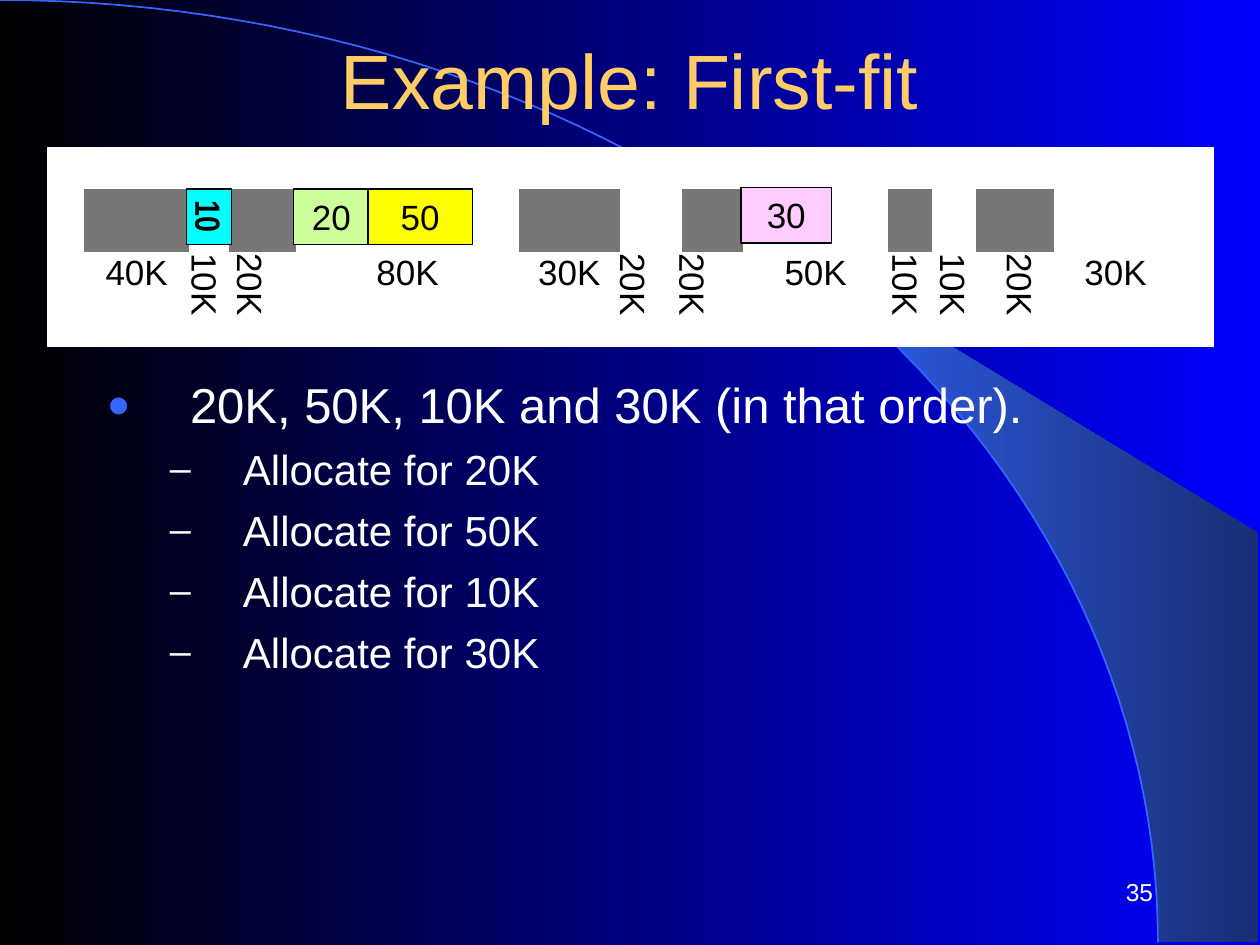
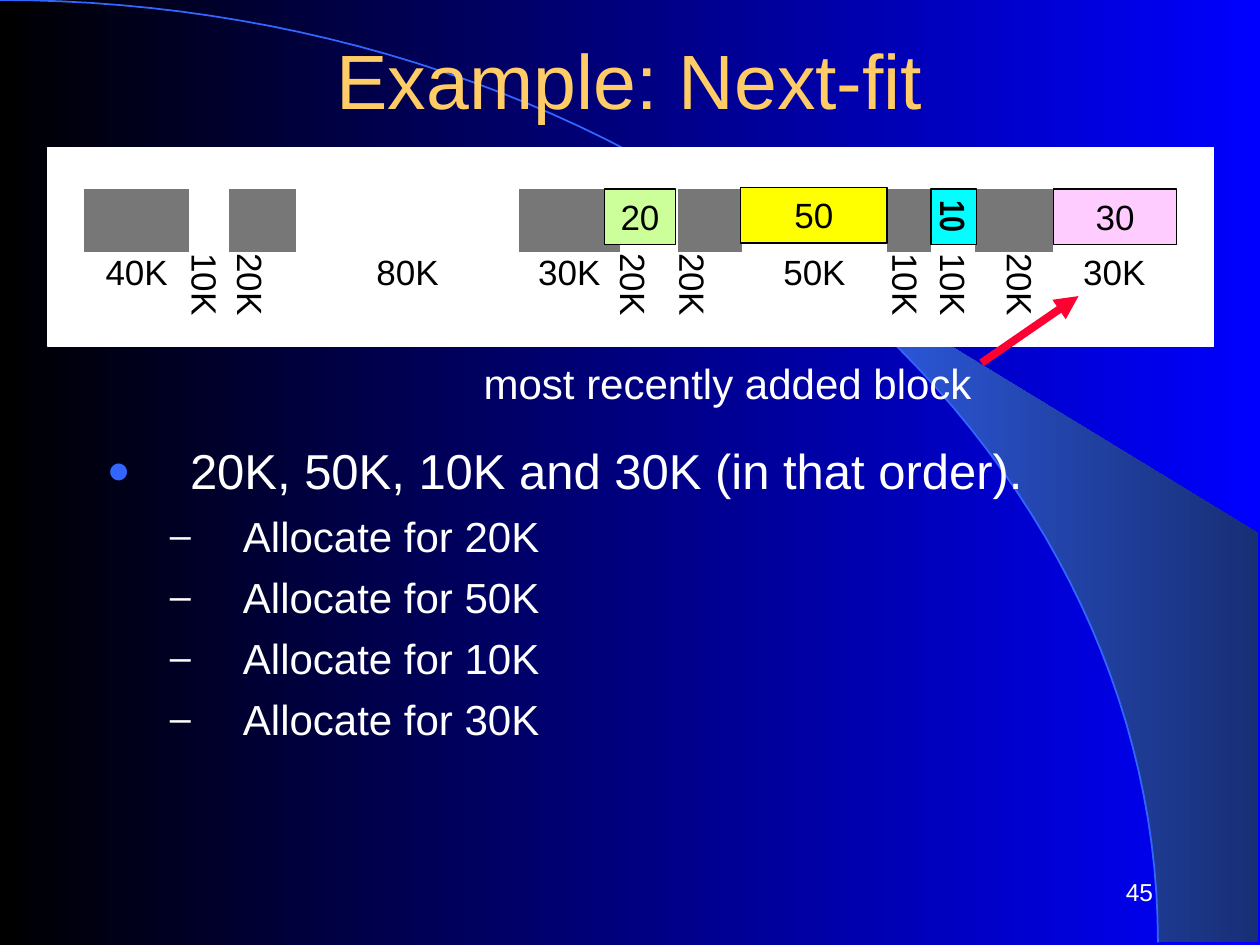
"""Build two slides that compare first-fit and next-fit memory allocation."""
from dataclasses import dataclass
from math import asin, cos, pi, sin

from pptx import Presentation
from pptx.dml.color import RGBColor
from pptx.enum.shapes import MSO_CONNECTOR, MSO_SHAPE
from pptx.enum.text import MSO_ANCHOR, PP_ALIGN
from pptx.oxml.ns import qn
from pptx.util import Inches, Pt
from lxml.etree import SubElement


@dataclass(frozen=True)
class Theme:
    black: str = "000000"
    white: str = "FFFFFF"
    blue: str = "0000FF"
    sky: str = "3366FF"
    navy: str = "182F76"
    gold: str = "FFCC66"
    gray: str = "777777"
    red: str = "FF0033"
    lime: str = "CCFF99"
    yellow: str = "FFFF00"
    cyan: str = "00FFFF"
    pink: str = "FFCCFF"
    font: str = "Arial"
    narrow: str = "Arial Narrow"
    title: int = 44
    lead: int = 28
    body: int = 24
    label: int = 20
    number: int = 14


theme = Theme()
rgb = RGBColor.from_string


def write(frame, text, size=theme.label, color=theme.black, font=theme.font, bold=False,
          align=PP_ALIGN.CENTER, anchor=MSO_ANCHOR.TOP, before=0, space=None,
          wrap=True, upright=True, more=False):
    """Write one paragraph into a text frame and return it."""
    frame.word_wrap = wrap
    frame.vertical_anchor = anchor
    wide, thin = Inches(0.1), Inches(0.05)
    frame.margin_left = frame.margin_right = wide if upright else thin
    frame.margin_top = frame.margin_bottom = thin if upright else wide
    if not upright:
        frame._txBody.bodyPr.set("vert", "eaVert")
    para = frame.add_paragraph() if more else frame.paragraphs[0]
    para.alignment = align
    para.space_before = Pt(before)
    para.line_spacing = space
    run = para.add_run()
    run.text = text
    run.font.size, run.font.name, run.font.bold = Pt(size), font, bold
    run.font.color.rgb = rgb(color)
    return para


def blend(fill, first, last):
    """Give a fill a gradient from left to right."""
    fill.gradient()
    fill.gradient_angle = 0
    for stop, color, place in zip(fill.gradient_stops, (first, last), (0, 1)):
        stop.color.rgb = rgb(color)
        stop.position = place


deck = Presentation()
deck.slide_width, deck.slide_height = Inches(10), Inches(7.5)
layout = deck.slide_layouts[5]
blend(deck.slide_master.background.fill, theme.black, theme.blue)

plans = [
    dict(name="First-fit", number="35", top=2.92, high=3.75, gap=(0.49, 0.49), ten=1.48,
         blocks=[("20", 2.33, 1.5, 0.6, theme.lime), ("50", 2.92, 1.5, 0.83, theme.yellow),
                 ("30", 5.88, 1.49, 0.72, theme.pink)], note=None),
    dict(name="Next-fit", number="45", top=3.45, high=3.21, gap=(0.46, 0.51), ten=7.39,
         blocks=[("20", 4.8, 1.5, 0.56, theme.lime), ("50", 5.88, 1.49, 1.16, theme.yellow),
                 ("30", 8.36, 1.5, 0.98, theme.pink)], note="most recently added block"),
]
sides = [("10K", 1.32), ("20K", 1.68), ("20K", 4.72), ("20K", 5.19),
         ("10K", 6.88), ("20K", 7.79), ("10K", 7.26)]
sizes = {0: "40K", 3: "80K", 4: "30K", 7: "50K", 11: "30K"}

slides = [deck.slides.add_slide(layout) for plan in plans]

wide, high, steps = 9.19, 7.48, 60
begin = asin(5.89 / wide)
arcs = [[(wide * sin(turn), high * (1 - cos(turn)))
         for turn in (low + (pi / 2 - low) * step / steps for step in range(steps + 1))]
        for low in (begin, 0)]
arcs[0] += [(9.98, high), (9.98, 4.23)]
for spot, (arc, closed) in enumerate(zip(arcs, (True, False))):
    points = [(Inches(x), Inches(y)) for x, y in arc]
    pen = slides[0].shapes.build_freeform(*points[0])
    pen.add_line_segments(points[1:], close=closed)
    art = pen.convert_to_shape()
    art.shadow.inherit = False
    if closed:
        blend(art.fill, theme.sky, theme.navy)
        art.line.fill.background()
    else:
        art.fill.background()
        art.line.color.rgb = rgb(theme.sky)
        art.line.width = Pt(1)
    layout.shapes.element.insert(2 + spot, art.element)

for slide, plan in zip(slides, plans):
    shapes = slide.shapes
    title = shapes.title
    title.left, title.top = Inches(0.75), Inches(0)
    title.width, title.height = Inches(8.5), Inches(1.25)
    write(title.text_frame, f"Example: {plan['name']}", size=theme.title, color=theme.gold,
          anchor=MSO_ANCHOR.MIDDLE)

    number = shapes.add_textbox(Inches(7.17), Inches(6.83), Inches(2.08), Inches(0.5))
    write(number.text_frame, plan["number"], size=theme.number, color=theme.white,
          align=PP_ALIGN.RIGHT, anchor=MSO_ANCHOR.MIDDLE)

    boxes = [("", 0.38, 1.17, 9.25, 1.58, theme.white, theme.white)]
    boxes += [(text, left, top, width, 0.44, fill, theme.black)
              for text, left, top, width, fill in plan["blocks"]]
    boxes.append(("", plan["ten"], 1.5, 0.36, 0.44, theme.cyan, theme.black))
    drawn = []
    for text, left, top, width, tall, fill, edge in boxes:
        box = shapes.add_shape(MSO_SHAPE.RECTANGLE, Inches(left), Inches(top),
                               Inches(width), Inches(tall))
        box.shadow.inherit = False
        box.fill.solid()
        box.fill.fore_color.rgb = rgb(fill)
        box.line.color.rgb = rgb(edge)
        box.line.width = Pt(0.75)
        if text:
            write(box.text_frame, text)
        drawn.append(box)

    body = shapes.add_textbox(Inches(0.75), Inches(plan["top"]), Inches(8.75),
                              Inches(plan["high"]))
    lines = ["20K, 50K, 10K and 30K (in that order)."]
    lines += [f"Allocate for {need}K" for need in (20, 50, 10, 30)]
    for row, line in enumerate(lines):
        sub = row > 0
        para = write(body.text_frame, line, size=theme.body if sub else theme.lead,
                     color=theme.white, align=PP_ALIGN.LEFT, before=6 if sub else 7, more=sub)
        para.level = int(sub)
        props = para._p.get_or_add_pPr()
        props.set("marL", str(Inches(1.08 if sub else 0.66)))
        props.set("indent", str(-Inches(0.58 if sub else 0.66)))
        tint = SubElement(props, qn("a:buClr"))
        SubElement(tint, qn("a:srgbClr"), val=theme.white if sub else theme.sky)
        SubElement(props, qn("a:buSzPct"), val="90000" if sub else "80000")
        SubElement(props, qn("a:buFont"), typeface=theme.font)
        SubElement(props, qn("a:buChar"), char="–" if sub else "●")

    widths = [0.83, 0.32, 0.53, 1.77, 0.8, *plan["gap"], 1.15, 0.35, 0.35, 0.62, 0.97]
    frame = shapes.add_table(2, len(widths), Inches(0.67), Inches(1.5),
                             Inches(8.67), Inches(0.96))
    table = frame.table
    table.first_row = table.horz_banding = False
    for style in frame.element.iter(qn("a:tableStyleId")):
        style.text = "{2D5ABB26-0587-4C30-8999-92F81FD0307C}"
    for row, tall in zip(table.rows, (0.5, 0.46)):
        row.height = Inches(tall)
    for col, width in enumerate(widths):
        table.columns[col].width = Inches(width)
        used, label = table.cell(0, col), table.cell(1, col)
        label.fill.background()
        if col % 2:
            used.fill.background()
        else:
            used.fill.solid()
            used.fill.fore_color.rgb = rgb(theme.gray)
        if col in sizes:
            write(label.text_frame, sizes[col], before=5, space=0.87)

    for text, left in sides:
        side = shapes.add_textbox(Inches(left), Inches(1.91), Inches(0.53), Inches(0.9))
        write(side.text_frame, text, align=PP_ALIGN.RIGHT, before=12.5, upright=False)

    if plan["note"]:
        note = shapes.add_textbox(Inches(3.74), Inches(2.79), Inches(4.07), Inches(0.5))
        write(note.text_frame, plan["note"], size=theme.body, color=theme.white,
              align=PP_ALIGN.LEFT, wrap=False)
        arrow = shapes.add_connector(MSO_CONNECTOR.STRAIGHT, Inches(7.79), Inches(2.88),
                                     Inches(8.56), Inches(2.35))
        arrow.line.color.rgb = rgb(theme.red)
        arrow.line.width = Pt(4.5)
        SubElement(arrow.line._get_or_add_ln(), qn("a:tailEnd"), type="triangle")
        SubElement(arrow.element.spPr, qn("a:effectLst"))

    for box in drawn[1:]:
        shapes.element.append(box.element)
    ten = shapes.add_textbox(Inches(plan["ten"] - 0.13), Inches(1.49),
                             Inches(0.53), Inches(0.51))
    write(ten.text_frame, "10", font=theme.narrow, bold=True, upright=False)

deck.save("out.pptx")
